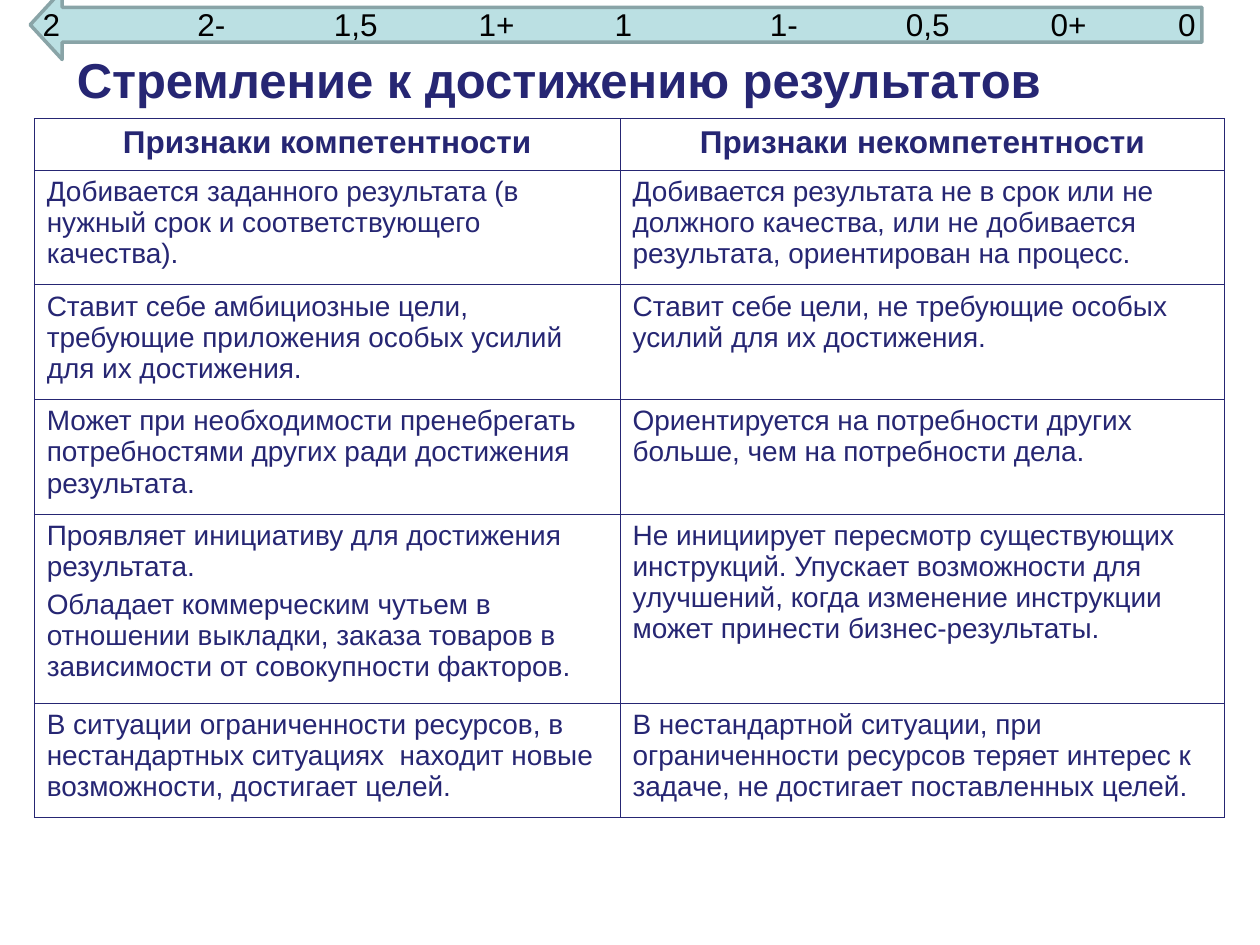
from lxml import etree
from pptx import Presentation
from pptx.dml.color import RGBColor
from pptx.enum.shapes import MSO_SHAPE
from pptx.enum.text import MSO_ANCHOR, MSO_AUTO_SIZE, PP_ALIGN
from pptx.oxml.ns import qn
from pptx.util import Cm, Pt

LEFT_ARROW = MSO_SHAPE.LEFT_ARROW
MIDDLE = MSO_ANCHOR.MIDDLE
GROW = MSO_AUTO_SIZE.SHAPE_TO_FIT_TEXT
LEFT, CENTER = PP_ALIGN.LEFT, PP_ALIGN.CENTER

FONT = "Arial"
NAVY, BLACK = "262673", "000000"
ARROW_FILL, ARROW_LINE = "BBE0E3", "89A4A7"

TITLE = "Стремление к достижению результатов"
SCALE_MARKS = [
    ("2", 0, 0.74),
    ("2-", 3.12, 2.01),
    ("1,5", 5.87, 2.01),
    ("1+", 8.79, 2.01),
    ("1", 11.53, 0.74),
    ("1-", 14.66, 1.83),
    ("0,5", 17.4, 1.47),
    ("0+", 20.32, 1.47),
    ("0", 22.89, 1.47),
]
COLUMN_WIDTHS = [11.81, 12.19]
ROW_HEIGHTS = [1.04, 2.31, 2.31, 2.31, 3.81, 2.31]
TABLE_ROWS = [
    ("Признаки компетентности", "Признаки некомпетентности"),
    ("Добивается заданного результата (в нужный срок и соответствующего качества).",
     "Добивается результата не в срок или не должного качества, или не добивается "
     "результата, ориентирован на процесс."),
    ("Ставит себе амбициозные цели, требующие приложения особых усилий для их достижения.",
     "Ставит себе цели, не требующие особых усилий для их достижения."),
    ("Может при необходимости пренебрегать потребностями других ради достижения результата.",
     "Ориентируется на потребности других больше, чем на потребности дела."),
    ("Проявляет инициативу для достижения результата.\n"
     "Обладает коммерческим чутьем в отношении выкладки, заказа товаров "
     "в зависимости от совокупности факторов.",
     "Не инициирует пересмотр существующих инструкций. Упускает возможности для улучшений, "
     "когда изменение инструкции может принести бизнес-результаты."),
    ("В ситуации ограниченности ресурсов, в нестандартных ситуациях  находит новые "
     "возможности, достигает целей.",
     "В нестандартной ситуации, при ограниченности ресурсов теряет интерес к задаче, "
     "не достигает поставленных целей."),
]


def color(value):
    return RGBColor.from_string(value)


def write_text(text_frame, text, size, text_color, bold=False, align=LEFT, space_before=0):
    text_frame.word_wrap = True
    text_frame.text = text
    for paragraph in text_frame.paragraphs:
        paragraph.alignment = align
        paragraph.space_before = Pt(space_before)
        for run in paragraph.runs:
            run.font.name = FONT
            run.font.size = Pt(size)
            run.font.bold = bold
            run.font.color.rgb = color(text_color)


def set_borders(cell, line_color, width):
    properties = cell._tc.get_or_add_tcPr()
    for position, side in enumerate(("a:lnL", "a:lnR", "a:lnT", "a:lnB")):
        line = etree.Element(qn(side), w=str(Pt(width)))
        fill = etree.SubElement(line, qn("a:solidFill"))
        etree.SubElement(fill, qn("a:srgbClr"), val=line_color)
        properties.insert(position, line)


def add_title(slide, left, top, width, height):
    title = slide.shapes.add_textbox(Cm(left), Cm(top), Cm(width), Cm(height))
    title.text_frame.vertical_anchor = MIDDLE
    write_text(title.text_frame, TITLE, 28, NAVY, bold=True)


def add_comparison_table(slide, left, top):
    frame = slide.shapes.add_table(
        len(ROW_HEIGHTS), len(COLUMN_WIDTHS), Cm(left), Cm(top),
        Cm(sum(COLUMN_WIDTHS)), Cm(sum(ROW_HEIGHTS)))
    table = frame.table
    table.horz_banding = False
    for column, width in zip(table.columns, COLUMN_WIDTHS):
        column.width = Cm(width)
    for row_index, (row, height) in enumerate(zip(table.rows, ROW_HEIGHTS)):
        row.height = Cm(height)
        for cell, text in zip(row.cells, TABLE_ROWS[row_index]):
            cell.fill.background()
            set_borders(cell, NAVY, 0.45)
            if row_index == 0:
                write_text(cell.text_frame, text, 18, NAVY, True, CENTER, 4.5)
            else:
                write_text(cell.text_frame, text, 16, NAVY, space_before=4)


def add_scale(slide, left, top, width, height):
    group = slide.shapes.add_group_shape()
    arrow = group.shapes.add_shape(LEFT_ARROW, Cm(left), Cm(top), Cm(width), Cm(height))
    arrow.adjustments[0] = 0.5
    arrow.adjustments[1] = 0.46
    arrow.shadow.inherit = False
    arrow.fill.solid()
    arrow.fill.fore_color.rgb = color(ARROW_FILL)
    arrow.line.color.rgb = color(ARROW_LINE)
    arrow.line.width = Pt(2)
    for text, offset, mark_width in SCALE_MARKS:
        mark = group.shapes.add_textbox(
            Cm(left + offset), Cm(top + 0.18), Cm(mark_width), Cm(1.02))
        write_text(mark.text_frame, text, 18, BLACK)
        mark.text_frame.auto_size = GROW


presentation = Presentation()
presentation.slide_width = Cm(25.4)
presentation.slide_height = Cm(19.05)
slide = presentation.slides.add_slide(presentation.slide_layouts[6])
add_title(slide, 1.3, 0, 22.86, 3.18)
add_comparison_table(slide, 0.69, 2.39)
add_scale(slide, 0.61, -0.2, 23.62, 1.4)
presentation.save("out.pptx")
